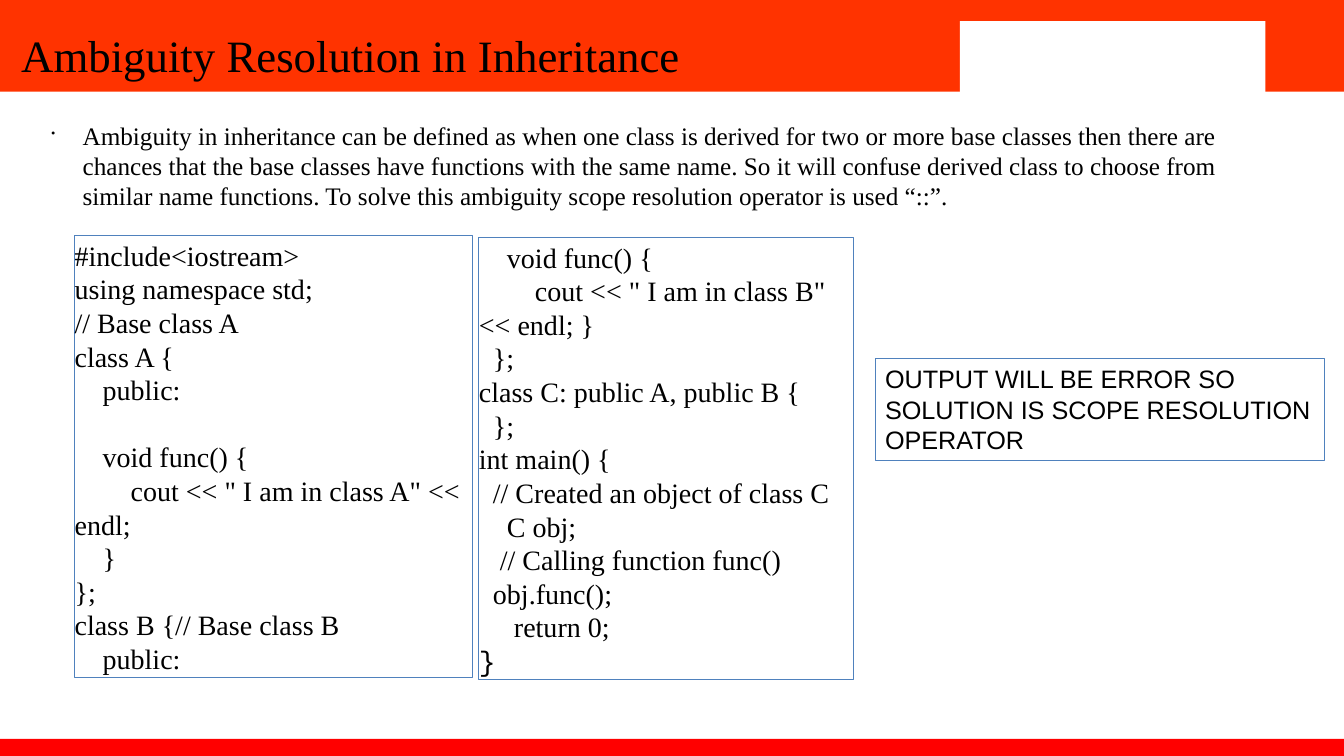
from lxml.etree import SubElement
from pptx import Presentation
from pptx.dml.color import RGBColor
from pptx.enum.shapes import MSO_SHAPE as Shape
from pptx.enum.text import MSO_ANCHOR as Anchor, MSO_AUTO_SIZE as AutoSize, PP_ALIGN as Align
from pptx.oxml.ns import qn
from pptx.util import Inches, Pt

COLORS = {"header": "FF3300", "footer": "FF0000", "paper": "FFFFFF",
          "outline": "4F81BD", "ink": "000000"}
SERIF, SANS, MONO = "Times New Roman", "Arial", "Courier New"
CODE_SIZE = 20
SPACE_WIDTH = CODE_SIZE / 4 / 72  # inches

DEFINITION = (
    "Ambiguity in inheritance can be defined as when one class is derived for two or more "
    "base classes then there are chances that the base classes have functions with the same "
    "name. So it will confuse derived class to choose from similar name functions. To solve "
    "this ambiguity scope resolution operator is used “::”.")

# Each code line: columns of indentation, text
BASE_CLASSES = [
    (0, "#include<iostream>"), (0, "using namespace std;"), (0, "// Base class A"),
    (0, "class A {"), (4, "public:"), (4, "void func() {"),
    (8, 'cout << " I am in class A" << endl;'), (4, "}"), (0, "};"),
    (0, "class B {// Base class B"), (4, "public:")]
DERIVED_CLASS = [
    (4, "void func() {"), (8, 'cout << " I am in class B" << endl; }'), (2, "};"),
    (0, "class C: public A, public B {"), (2, "};"), (0, "int main() {"),
    (2, "// Created an object of class C"), (4, "C obj;"),
    (3, "// Calling function func()"), (2, "obj.func();"), (5, "return 0;"), (0, "}")]


def rgb(name):
    return RGBColor.from_string(COLORS[name])


class LessonSlide:
    def __init__(self, deck):
        self.slide = deck.slides.add_slide(deck.slide_layouts[5])
        self.shapes = self.slide.shapes

    def bar(self, box, fill, outline=None):
        bar = self.shapes.add_shape(Shape.RECTANGLE, *map(Inches, box))
        bar.shadow.inherit = False
        if fill:
            bar.fill.solid()
            bar.fill.fore_color.rgb = rgb(fill)
        else:
            bar.fill.background()
        if outline:
            bar.line.color.rgb = rgb(outline)
            bar.line.width = Pt(0.75)
        else:
            bar.line.fill.background()
        return bar

    def frame(self, shape, anchor=Anchor.MIDDLE, inset=(0, 0)):
        frame = shape.text_frame
        frame.word_wrap = True
        frame.auto_size = AutoSize.NONE
        frame.vertical_anchor = anchor
        frame.margin_left = frame.margin_right = Inches(inset[0])
        frame.margin_top = frame.margin_bottom = Inches(inset[1])
        return frame

    def put_text(self, paragraph, text, size, font=SERIF):
        paragraph.text = text
        paragraph.alignment = Align.LEFT
        paragraph.font.size = Pt(size)
        paragraph.font.name = font
        paragraph.font.color.rgb = rgb("ink")

    def title(self, text, box):
        """Fill the title placeholder and bring it in front of the header."""
        title = self.shapes.title
        title.left, title.top, title.width, title.height = map(Inches, box)
        self.put_text(self.frame(title).paragraphs[0], text, 32)
        title.element.getparent().append(title.element)

    def bullet(self, text, box, hang=0.31):
        bullet_box = self.shapes.add_textbox(*map(Inches, box))
        paragraph = self.frame(bullet_box).paragraphs[0]
        self.put_text(paragraph, text, 18)
        paragraph.space_before = Pt(14.2)
        props = paragraph._p.get_or_add_pPr()
        props.set("marL", str(Inches(hang)))
        props.set("indent", str(-Inches(hang)))
        marks = [SubElement(props, qn("a:buSzPct"), val="45000"),
                 SubElement(props, qn("a:buChar"), char="•")]
        # Bullet marks belong right after the paragraph spacing
        for position, mark in enumerate(marks, start=1):
            props.insert(position, mark)

    def code(self, lines, box):
        frame = self.frame(self.bar(box, "paper", "outline"))
        for number, (columns, text) in enumerate(lines):
            paragraph = frame.add_paragraph() if number else frame.paragraphs[0]
            self.put_text(paragraph, text, CODE_SIZE)
            paragraph._p.get_or_add_pPr().set("indent", str(Inches(columns * SPACE_WIDTH)))
        return frame.paragraphs

    def callout(self, text, box):
        frame = self.frame(self.bar(box, None, "outline"), Anchor.TOP, (0.1, 0.05))
        self.put_text(frame.paragraphs[0], text, 18, SANS)


def main():
    deck = Presentation()
    deck.slide_width, deck.slide_height = Inches(13.33), Inches(7.5)
    lesson = LessonSlide(deck)

    lesson.bar((0, 0, 13.33, 0.91), "header")
    lesson.bar((0, 7.33, 13.33, 0.21), "footer")
    lesson.bar((9.52, 0.21, 3.03, 0.75), "paper")
    lesson.title("Ambiguity Resolution in Inheritance", (0.21, 0.11, 12.35, 0.87))
    lesson.bullet(DEFINITION, (0.51, 1.1, 12, 1.08))

    base_code = lesson.code(BASE_CLASSES, (0.74, 2.34, 3.95, 4.38))
    base_code[5].space_before = Pt(24)
    derived_code = lesson.code(DERIVED_CLASS, (4.75, 2.36, 3.72, 4.38))
    derived_code[-1].font.name = MONO

    lesson.callout("OUTPUT WILL BE ERROR SO SOLUTION IS SCOPE RESOLUTION OPERATOR",
                   (8.68, 3.56, 4.46, 1.01))
    deck.save("out.pptx")


if __name__ == "__main__":
    main()
